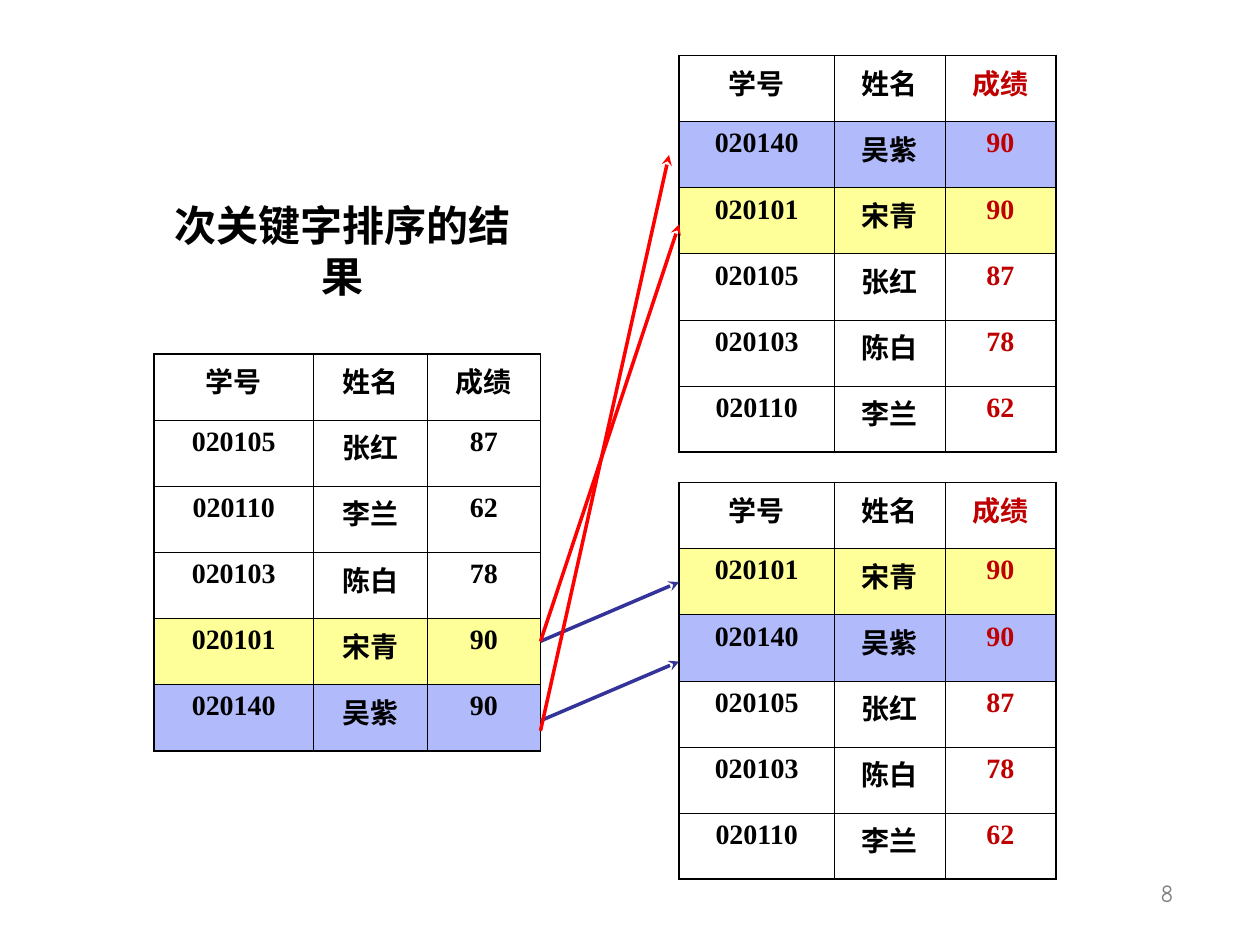
"""Build a slide showing two possible results of sorting records by a secondary key."""
from lxml.etree import SubElement
from pptx import Presentation
from pptx.dml.color import RGBColor
from pptx.enum.shapes import MSO_CONNECTOR
from pptx.enum.text import MSO_ANCHOR, PP_ALIGN
from pptx.oxml.ns import qn
from pptx.util import Inches, Pt

COLORS = {
    "black": "000000",
    "score": "C00000",
    "song": "FFFF99",
    "wu": "B1BAFB",
    "stable": "333399",
    "unstable": "FF0000",
    "number": "808080",
}
HEADER = ("学号", "姓名", "成绩")
STUDENTS = {
    "020101": ("宋青", "90"),
    "020103": ("陈白", "78"),
    "020105": ("张红", "87"),
    "020110": ("李兰", "62"),
    "020140": ("吴紫", "90"),
}
HIGHLIGHTS = {"020101": "song", "020140": "wu"}
ROW_HEIGHT = 0.525
THIN, THICK = 0.45, 1.08


def rgb(name):
    return RGBColor.from_string(COLORS[name])


def style(p, size, font, color, align, bold=False):
    p.alignment = align
    p.font.size = Pt(size)
    p.font.name = font
    p.font.bold = bold
    p.font.color.rgb = rgb(color)


def add_text(slide, box, text, anchor, wrap, **look):
    tf = slide.shapes.add_textbox(*map(Inches, box)).text_frame
    tf.word_wrap = wrap
    tf.vertical_anchor = anchor
    p = tf.paragraphs[0]
    p.text = text
    style(p, **look)


def set_borders(cell, widths):
    tc_pr = cell._tc.get_or_add_tcPr()
    for side, width in zip("LRTB", widths):
        ln = SubElement(tc_pr, qn(f"a:ln{side}"), w=str(Pt(width)))
        fill = SubElement(ln, qn("a:solidFill"))
        SubElement(fill, qn("a:srgbClr"), val=COLORS["black"])


def add_records(slide, left, top, col_widths, order, score_color):
    rows = [HEADER] + [(key, *STUDENTS[key]) for key in order]
    last_row, last_col = len(rows) - 1, len(HEADER) - 1
    table = slide.shapes.add_table(
        len(rows), len(HEADER), Inches(left), Inches(top),
        Inches(sum(col_widths)), Inches(ROW_HEIGHT * len(rows))).table
    table.first_row = table.horz_banding = False
    for column, width in zip(table.columns, col_widths):
        column.width = Inches(width)
    for i, row in enumerate(rows):
        table.rows[i].height = Inches(ROW_HEIGHT)
        for j, text in enumerate(row):
            cell = table.cell(i, j)
            outer = (j == 0, j == last_col, i == 0, i == last_row)
            set_borders(cell, [THICK if edge else THIN for edge in outer])
            if row[0] in HIGHLIGHTS:
                cell.fill.solid()
                cell.fill.fore_color.rgb = rgb(HIGHLIGHTS[row[0]])
            else:
                cell.fill.background()
            p = cell.text_frame.paragraphs[0]
            p.text = text
            style(p, 16, "Times New Roman",
                  score_color if j == last_col else "black",
                  PP_ALIGN.CENTER, bold=True)


def add_arrow(slide, start, end, color):
    s = slide.shapes.add_connector(
        MSO_CONNECTOR.STRAIGHT, *map(Inches, start + end))
    s.line.width = Pt(2)
    s.line.color.rgb = rgb(color)
    SubElement(s.line._get_or_add_ln(), qn("a:tailEnd"), type="stealth")
    SubElement(s._element.spPr, qn("a:effectLst"))


def main():
    prs = Presentation()
    prs.slide_width, prs.slide_height = Inches(10), Inches(7.5)
    slide = prs.slides.add_slide(prs.slide_layouts[6])

    add_text(slide, (7.33, 6.75, 2.08, 0.5), "8", MSO_ANCHOR.BOTTOM, True,
             size=14, font="Comic Neue", color="number", align=PP_ALIGN.RIGHT)

    result_cols, source_cols = (1.23, 0.88, 0.88), (1.27, 0.9, 0.9)
    rest = ["020105", "020103", "020110"]
    add_records(slide, 5.39, 0.44, result_cols,
                ["020140", "020101"] + rest, "score")
    add_records(slide, 5.39, 3.83, result_cols,
                ["020101", "020140"] + rest, "score")
    add_records(slide, 1.22, 2.81, source_cols,
                ["020105", "020110", "020103", "020101", "020140"], "black")

    for start, end, color in (
        ((4.29, 5.72), (5.39, 5.25), "stable"),
        ((4.29, 5.09), (5.39, 4.62), "stable"),
        ((4.29, 5.09), (5.39, 1.78), "unstable"),
        ((4.29, 5.8), (5.31, 1.23), "unstable"),
    ):
        add_arrow(slide, start, end, color)

    add_text(slide, (1.14, 1.63, 3.15, 0.71), "次关键字排序的结果",
             MSO_ANCHOR.MIDDLE, False, size=24, font="Times New Roman",
             color="black", align=PP_ALIGN.CENTER, bold=True)
    prs.save("out.pptx")


if __name__ == "__main__":
    main()
